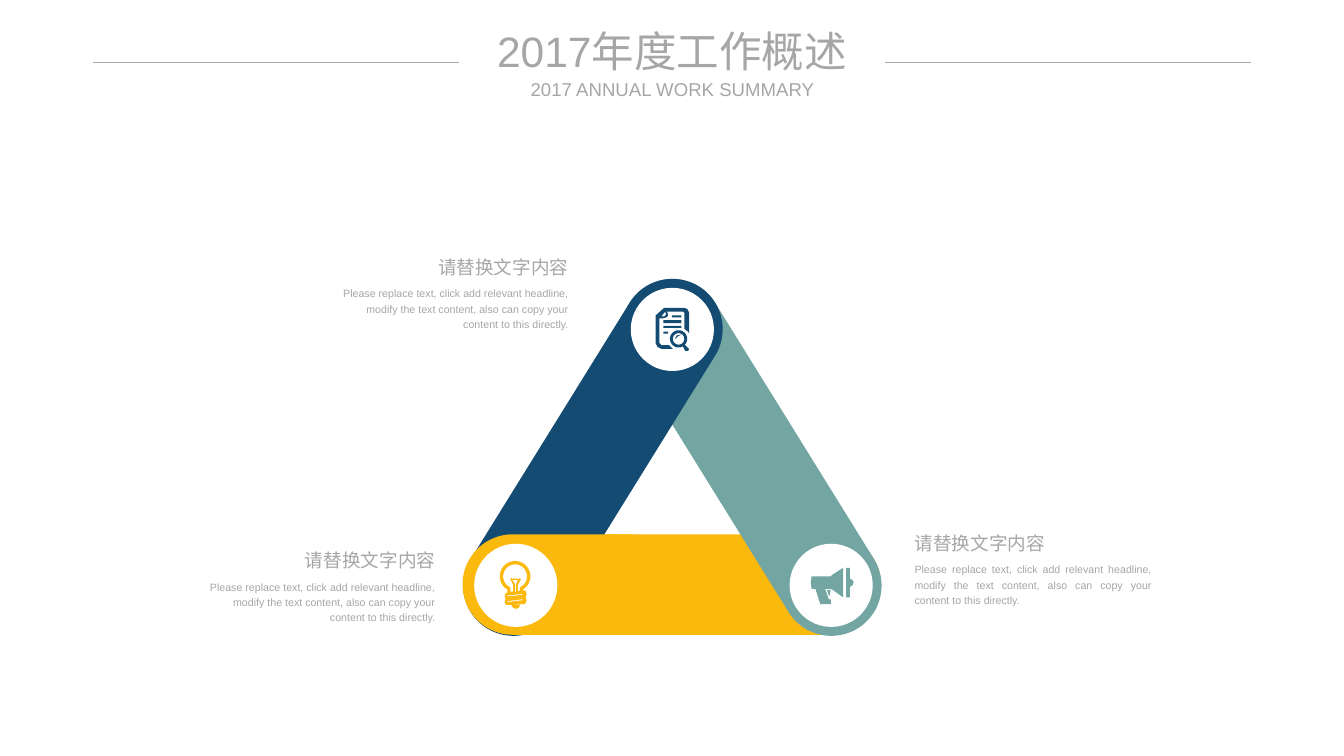
from math import cos, radians, sin

from lxml.etree import SubElement
from pptx import Presentation
from pptx.dml.color import RGBColor
from pptx.enum.shapes import MSO_CONNECTOR as Connector, MSO_SHAPE as Preset
from pptx.enum.text import MSO_ANCHOR as Anchor, MSO_AUTO_SIZE as AutoSize, PP_ALIGN as Align
from pptx.oxml.ns import qn
from pptx.util import Cm, Pt

BLUE, GREEN, YELLOW, WHITE, GRAY = "134B73", "73A6A3", "FBB80D", "FFFFFF", "A6A6A6"
HEADLINE = "请替换文字内容"
DETAIL = ("Please replace text, click add relevant headline, modify the text content, "
          "also can copy your content to this directly.")
ICON_STEPS = 10


def color(hex_value):
    return RGBColor.from_string(hex_value)


def arc(x, y, radius, start=0, end=360, steps=36):
    angles = [radians(start + (end - start) * i / steps) for i in range(steps + 1)]
    return [(x + radius * cos(a), y + radius * sin(a)) for a in angles]


def bar(left, top, right, bottom):
    return [(left, top), (right, top), (right, bottom), (left, bottom)]


def write(frame, text, size=14, align=Align.LEFT, spacing=1.0, anchor=Anchor.TOP, inset=None):
    frame.word_wrap = True
    frame.auto_size = AutoSize.NONE
    frame.vertical_anchor = anchor
    if inset is not None:
        frame.margin_left = frame.margin_right = Cm(inset)
        frame.margin_top = frame.margin_bottom = Cm(inset)
    paragraph = frame.paragraphs[0]
    paragraph.text = text
    paragraph.alignment = align
    paragraph.line_spacing = spacing
    paragraph.font.name = "Arial"
    paragraph.font.size = Pt(size)
    paragraph.font.color.rgb = color(GRAY)


class Board:
    def __init__(self, slide):
        self.slide = slide
        self.shapes = slide.shapes

    def title(self, text, left, top, width, height):
        heading = self.shapes.title
        heading.left, heading.top = Cm(left), Cm(top)
        heading.width, heading.height = Cm(width), Cm(height)
        write(heading.text_frame, text, size=32, align=Align.CENTER,
              anchor=Anchor.MIDDLE, inset=0)

    def text(self, text, left, top, width, height, **style):
        box = self.shapes.add_textbox(Cm(left), Cm(top), Cm(width), Cm(height))
        write(box.text_frame, text, **style)

    def caption(self, edge, top, headline_width, detail_width, flush_right):
        rows = [
            (HEADLINE, 0, headline_width, 0.91, 14, Align.LEFT),
            (DETAIL, 0.89, detail_width, 1.45, 8, Align.JUSTIFY),
        ]
        for text, drop, width, height, size, align in rows:
            left = edge - width if flush_right else edge
            self.text(text, left, top + drop, width, height, size=size, spacing=1.2,
                      align=Align.RIGHT if flush_right else align)

    def paint(self, shape, fill):
        shape.shadow.inherit = False
        shape.fill.solid()
        shape.fill.fore_color.rgb = color(fill)
        shape.line.fill.background()

    def arm(self, left, top, width, fill, rotation=0):
        pill = self.shapes.add_shape(Preset.ROUNDED_RECTANGLE, Cm(left), Cm(top),
                                     Cm(width), Cm(2.67))
        pill.adjustments[0] = 0.5
        pill.rotation = rotation
        self.paint(pill, fill)

    def badge(self, left, top):
        disc = self.shapes.add_shape(Preset.OVAL, Cm(left), Cm(top), Cm(2.21), Cm(2.21))
        self.paint(disc, WHITE)

    def icon(self, left, top, contours, fill):
        scaled = [[(x * ICON_STEPS, y * ICON_STEPS) for x, y in contour]
                  for contour in contours]
        first, *others = scaled
        outline = self.shapes.build_freeform(*first[0], scale=Cm(2.54) / (100 * ICON_STEPS))
        outline.add_line_segments(first[1:], close=True)
        for contour in others:
            outline.move_to(*contour[0])
            outline.add_line_segments(contour[1:], close=True)
        self.paint(outline.convert_to_shape(Cm(left), Cm(top)), fill)

    def rule(self, start, end, y):
        line = self.shapes.add_connector(Connector.STRAIGHT, Cm(start), Cm(y), Cm(end), Cm(y))
        line.line.color.rgb = color(GRAY)
        line.line.width = Pt(0.5)
        SubElement(line._element.spPr, qn("a:effectLst"))


REPORT = [
    [(10, 0), (29, 0), (33, 1), (35, 5), (35, 27), (34, 25), (30, 22), (30, 5), (29, 4),
     (12, 4), (13, 7), (13, 8), (11, 10), (8, 11), (4, 11), (4, 37), (6, 39), (14, 39),
     (18, 43), (6, 43), (2, 41), (0, 37), (0, 8), (9, 0)],
    [(10, 4), (6, 9), (9, 9), (11, 7)],
    bar(8, 25, 13, 27),
    bar(8, 19, 27, 21),
    bar(8, 13, 27, 16),
    bar(17, 8, 27, 10),
    arc(24, 32.5, 9),
    arc(24, 32.5, 6),
    [(20, 33), (22, 29), (27, 28), (23, 30)],
    [(28.5, 40.5), (31, 45), (34, 45), (35, 43), (31, 39)],
]
BULB = [
    arc(16, 16, 16, 120, 420)
    + [(25, 31), (27, 31), (28, 35), (27, 38), (28, 41), (27, 44), (26, 45), (7, 46),
       (6, 45), (5, 43), (6, 39), (5, 37), (6, 34), (8, 33)],
    arc(16, 16, 12.5, 67, -247)
    + [(11, 32), (14, 32), (14, 25), (11, 19), (12, 18), (13, 19), (15, 18), (16, 19),
       (17, 18), (19, 19), (21, 18), (22, 19), (19, 25), (19, 32), (21, 31)],
    [(19, 20), (13, 20), (16, 24), (16, 32), (17, 32), (17, 24)],
    [(21, 46), (12, 46), (14, 49), (17, 50), (20, 49)],
    [(24, 40), (8, 42), (8, 43), (24, 41)],
    [(24, 34.5), (8, 36), (8, 37), (24, 35.5)],
]
MEGAPHONE = [
    [(1, 9), (21, 9), (23, 7), (34, 0), (34, 31), (23, 23), (21, 22), (15, 22), (19, 33),
     (21, 33), (21, 38), (10, 38), (5, 22), (1, 22), (0, 15)],
    [(41, 11), (44, 13), (45, 15), (44, 18), (41, 20), (41, 31), (37, 31), (37, 0), (41, 0)],
    [(21, 23), (17, 23), (19, 29), (20, 29), (20, 27)],
]


def main():
    deck = Presentation()
    deck.slide_width, deck.slide_height = Cm(35.71), Cm(20.09)
    board = Board(deck.slides.add_slide(deck.slide_layouts[5]))

    board.arm(12.34, 14.2, 11.07, YELLOW)
    board.arm(14.63, 10.82, 10.69, GREEN, rotation=58.2)
    board.arm(10.41, 10.82, 10.69, BLUE, rotation=301.8)
    board.arm(12.29, 14.2, 5.72, YELLOW)

    for left, top in [(16.76, 7.65), (12.6, 14.45), (20.98, 14.45)]:
        board.badge(left, top)
    board.icon(17.42, 8.18, REPORT, BLUE)
    board.icon(13.28, 14.91, BULB, YELLOW)
    board.icon(21.54, 15.09, MEGAPHONE, GREEN)

    board.caption(24.05, 13.89, 4.09, 6.81, flush_right=False)
    board.caption(15.36, 6.55, 4.11, 6.58, flush_right=True)
    board.caption(11.82, 14.35, 4.55, 6.58, flush_right=True)

    board.title("2017年度工作概述", 12.37, 0.66, 10.97, 1.37)
    board.text("2017 ANNUAL WORK SUMMARY", 13.97, 2.06, 7.8, 0.61,
               align=Align.CENTER, anchor=Anchor.MIDDLE, inset=0)
    for start, end in [(2.46, 12.19), (23.52, 33.25)]:
        board.rule(start, end, 1.65)

    deck.save("out.pptx")


if __name__ == "__main__":
    main()
